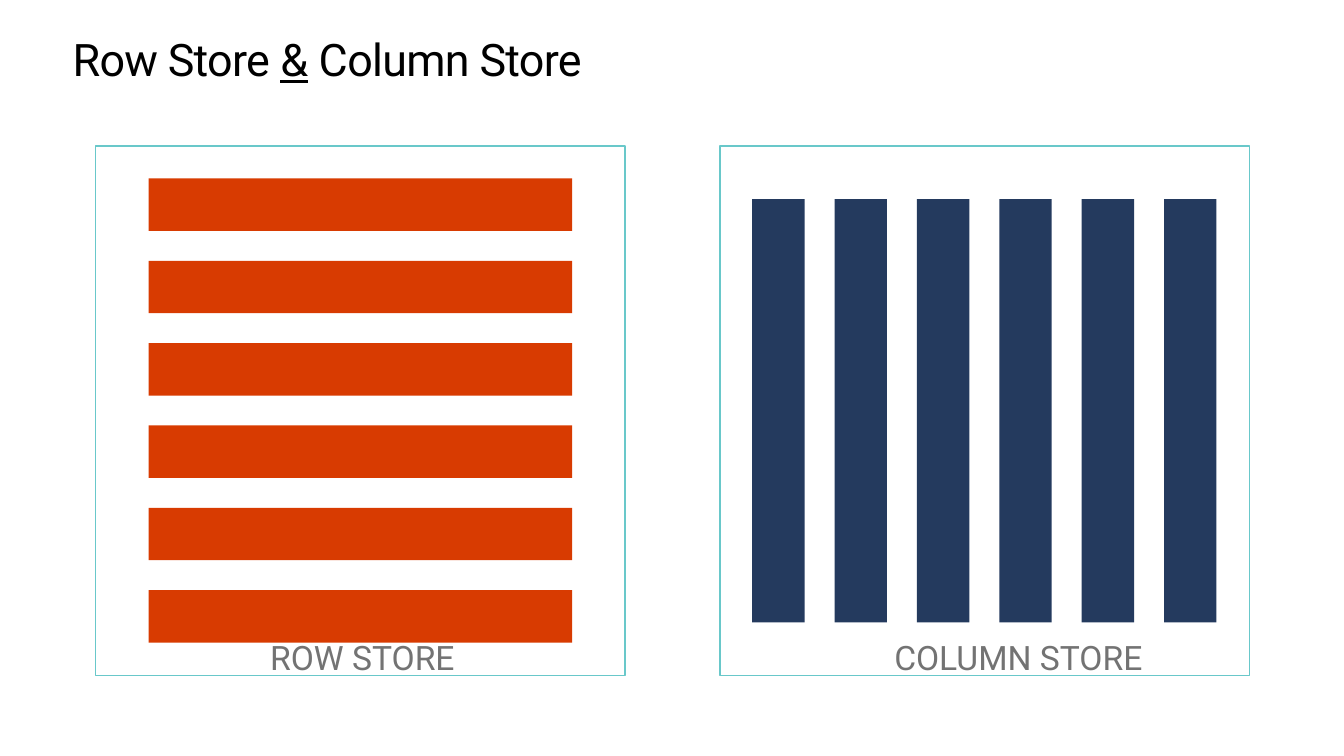
from pptx import Presentation
from pptx.dml.color import RGBColor
from pptx.enum.shapes import MSO_SHAPE
from pptx.enum.text import MSO_ANCHOR, MSO_AUTO_SIZE, PP_ALIGN
from pptx.util import Inches, Pt

BLACK = RGBColor(0x00, 0x00, 0x00)
GRAY = RGBColor(0x73, 0x73, 0x73)
TEAL = RGBColor(0x69, 0xC8, 0xCA)
ORANGE = RGBColor(0xD8, 0x3B, 0x01)
NAVY = RGBColor(0x24, 0x3A, 0x5E)
FONT = "Roboto"

PANEL_SIZE = 5.25
BAR_COUNT = 6
BAR_LENGTH = 4.2
BAR_THICKNESS = 0.52
BAR_PITCH = 0.817


def set_margins(frame, horizontal, vertical):
    frame.margin_left = frame.margin_right = Inches(horizontal)
    frame.margin_top = frame.margin_bottom = Inches(vertical)
    frame.vertical_anchor = MSO_ANCHOR.TOP


def add_title(slide, left, top, width, height):
    title = slide.shapes.title
    title.left, title.top = Inches(left), Inches(top)
    title.width, title.height = Inches(width), Inches(height)
    frame = title.text_frame
    set_margins(frame, 0, 0)
    frame.word_wrap = True
    frame.auto_size = MSO_AUTO_SIZE.NONE
    paragraph = frame.paragraphs[0]
    paragraph.alignment = PP_ALIGN.LEFT
    paragraph.line_spacing = Pt(36.2)
    paragraph.font.name = FONT
    paragraph.font.size = Pt(32)
    paragraph.font.color.rgb = BLACK
    for text in ("Row Store ", "&", " Column Store"):
        run = paragraph.add_run()
        run.text = text
        run.font.underline = text == "&"
        # Slightly tightened letter spacing, in hundredths of a point
        run.font._element.set("spc", "-50")


def add_rectangle(shapes, left, top, width, height, fill=None, line=None):
    shape = shapes.add_shape(MSO_SHAPE.RECTANGLE, Inches(left), Inches(top),
                             Inches(width), Inches(height))
    shape.shadow.inherit = False
    if fill is None:
        shape.fill.background()
    else:
        shape.fill.solid()
        shape.fill.fore_color.rgb = fill
    if line is None:
        shape.line.fill.background()
    else:
        shape.line.color.rgb = line
        shape.line.width = Pt(1)


def add_label(slide, text, left, top, width):
    box = slide.shapes.add_textbox(Inches(left), Inches(top), Inches(width), Inches(1))
    frame = box.text_frame
    set_margins(frame, 0.2, 0.16)
    frame.word_wrap = True
    frame.text = text
    paragraph = frame.paragraphs[0]
    paragraph.line_spacing = 0.9
    paragraph.space_after = Pt(6)
    paragraph.font.name = FONT
    paragraph.font.size = Pt(24)
    paragraph.font.color.rgb = GRAY


def add_store_panel(slide, left, top, label, label_width, color, vertical):
    # Frame and bars, kept together as a group
    group = slide.shapes.add_group_shape()
    add_rectangle(group.shapes, left, top, PANEL_SIZE, PANEL_SIZE, line=TEAL)
    for index in range(BAR_COUNT):
        across = 0.32 + index * BAR_PITCH
        along = (PANEL_SIZE - BAR_LENGTH) / 2
        if vertical:
            add_rectangle(group.shapes, left + across, top + along,
                          BAR_THICKNESS, BAR_LENGTH, fill=color)
        else:
            add_rectangle(group.shapes, left + along, top + across,
                          BAR_LENGTH, BAR_THICKNESS, fill=color)
    # Caption at the foot of the frame
    add_label(slide, label, left + 1.53, top + 4.75, label_width)


def main():
    presentation = Presentation()
    presentation.slide_width = Inches(13.33)
    presentation.slide_height = Inches(7.5)
    slide = presentation.slides.add_slide(presentation.slide_layouts[5])
    add_title(slide, 0.72, 0.35, 11.9, 0.5)
    add_store_panel(slide, 0.95, 1.45, "ROW STORE", 2.3, ORANGE, vertical=False)
    add_store_panel(slide, 7.14, 1.45, "COLUMN STORE", 2.9, NAVY, vertical=True)
    presentation.save("out.pptx")


if __name__ == "__main__":
    main()
